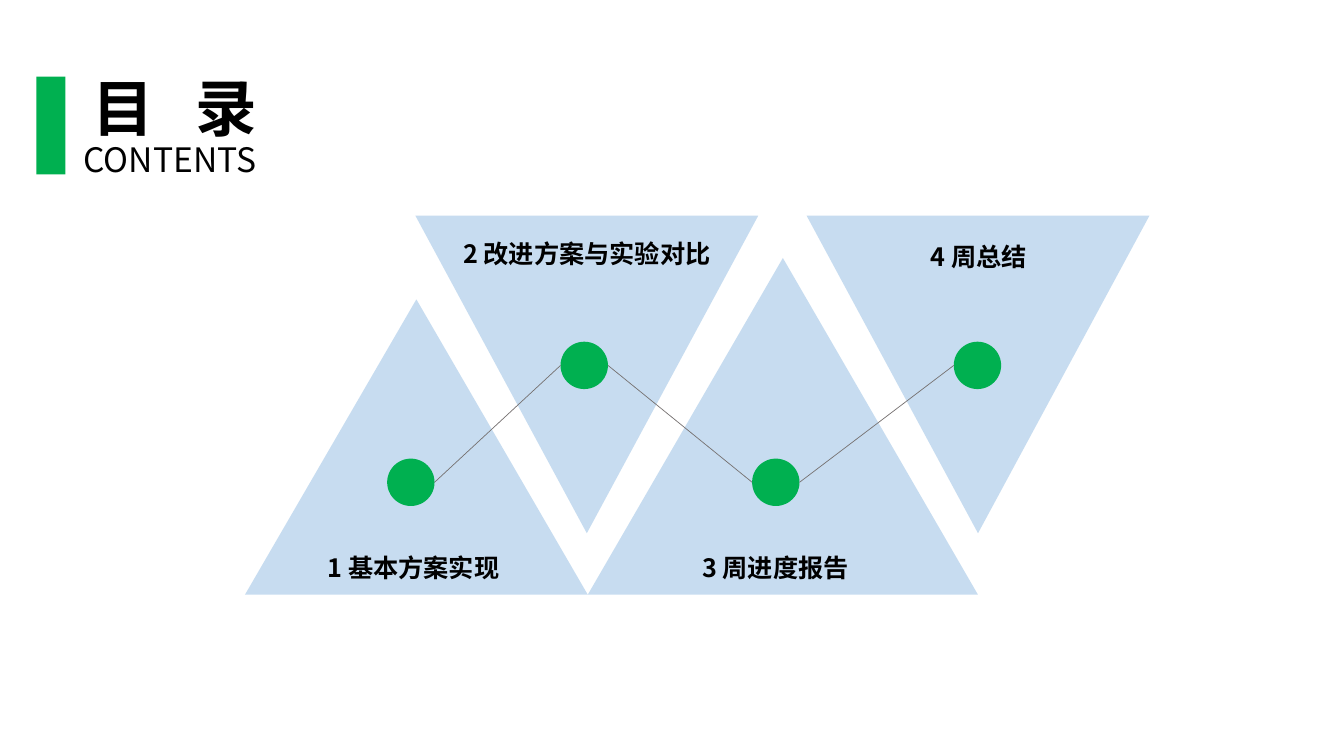
import itertools

import pptx
import pptx.dml.color
import pptx.enum.shapes
import pptx.enum.text
import pptx.oxml.ns
import pptx.util
from lxml import etree

Inches = pptx.util.Inches
Shapes = pptx.enum.shapes.MSO_SHAPE
Align = pptx.enum.text.PP_ALIGN

COLOURS = {"green": "00B050", "blue": "5B9BD5", "grey": "767171", "black": "000000"}
FONT = "Noto Sans CJK SC"
DOT = 0.47
STEPS = [
    {"label": "1 基本方案实现", "down": False, "triangle": (0, 3.4, 2.93), "dot": 1.41, "text": (0.17, 3.29)},
    {"label": "2 改进方案与实验对比", "down": True, "triangle": (1.69, 3.4, 3.15), "dot": 3.13, "text": (1.89, 0.18)},
    {"label": "3 周进度报告", "down": False, "triangle": (3.4, 3.87, 3.34), "dot": 5.03, "text": (3.76, 3.29)},
    {"label": "4 周总结", "down": True, "triangle": (5.57, 3.4, 3.15), "dot": 7.03, "text": (5.78, 0.2)},
]


def colour(name):
    """Return the named colour."""
    return pptx.dml.color.RGBColor.from_string(COLOURS[name])


def add_filled(page, kind, box, fill, opacity=100):
    """Add a borderless shape with a solid fill and the given opacity in percent."""
    shape = page.shapes.add_shape(kind, *map(Inches, box))
    shape.shadow.inherit = False
    shape.line.fill.background()
    shape.fill.solid()
    shape.fill.fore_color.rgb = colour(fill)
    if opacity < 100:
        tone = shape.fill._xPr.find(".//" + pptx.oxml.ns.qn("a:srgbClr"))
        etree.SubElement(tone, pptx.oxml.ns.qn("a:alpha"), val=str(opacity * 1000))
    return shape


def add_text(page, box, pieces, size, bold, align):
    """Add a one-line text box whose pieces are pairs of text and letter spacing."""
    frame = page.shapes.add_textbox(*map(Inches, box)).text_frame
    frame.word_wrap = True
    para = frame.paragraphs[0]
    para.alignment = align
    for words, spacing in pieces:
        span = para.add_run()
        span.text = words
        span.font.size = pptx.util.Pt(size)
        span.font.bold = bold
        span.font.name = FONT
        span.font.color.rgb = colour("black")
        properties = span.font._element
        etree.SubElement(properties, pptx.oxml.ns.qn("a:ea"), typeface=FONT)
        if spacing:
            properties.set("spc", str(spacing * 100))


def add_link(page, start, end):
    """Add a thin grey line between two points."""
    link = page.shapes.add_connector(
        pptx.enum.shapes.MSO_CONNECTOR.STRAIGHT, *map(Inches, start + end))
    link.line.color.rgb = colour("grey")
    link.line.width = pptx.util.Pt(0.5)
    etree.SubElement(link._element.spPr, pptx.oxml.ns.qn("a:effectLst"))


def draw_heading(page, left, top):
    """Draw the green bar with the two-line heading beside it."""
    add_filled(page, Shapes.RECTANGLE, (left, top + 0.12, 0.29, 0.97), "green")
    add_text(page, (left + 0.29, top, 2.17, 0.84), [("目 ", 10), ("录", 0)], 44, True, Align.CENTER)
    add_text(page, (left + 0.37, top + 0.69, 1.98, 0.5), [("CONTENTS", 0)], 24, False, Align.LEFT)


def draw_steps(page, left, top, height):
    """Draw the interlocking triangles, their labels and the linked dots."""
    dots = []
    for step in STEPS:
        offset, width, tall = step["triangle"]
        drop = 0 if step["down"] else height - tall
        triangle = add_filled(page, Shapes.ISOSCELES_TRIANGLE,
                              (left + offset, top + drop, width, tall), "blue", 34)
        triangle.rotation = 180 if step["down"] else 0
        dots.append((left + step["dot"], top + (1.25 if step["down"] else 2.41)))
    for step, dot in zip(STEPS, dots):
        across, down = step["text"]
        add_text(page, (left + across, top + down, 3, 0.4), [(step["label"], 0)], 18, True, Align.CENTER)
        add_filled(page, Shapes.OVAL, dot + (DOT, DOT), "green")
    for (x1, y1), (x2, y2) in itertools.pairwise(dots):
        add_link(page, (x1 + DOT, y1 + DOT / 2), (x2, y2 + DOT / 2))


def main():
    """Build and save the contents slide."""
    deck = pptx.Presentation()
    deck.slide_width, deck.slide_height = Inches(13.33), Inches(7.5)
    page = deck.slides.add_slide(deck.slide_layouts[6])
    draw_heading(page, 0.36, 0.64)
    draw_steps(page, 2.43, 2.14, 3.76)
    deck.save("out.pptx")


main()
